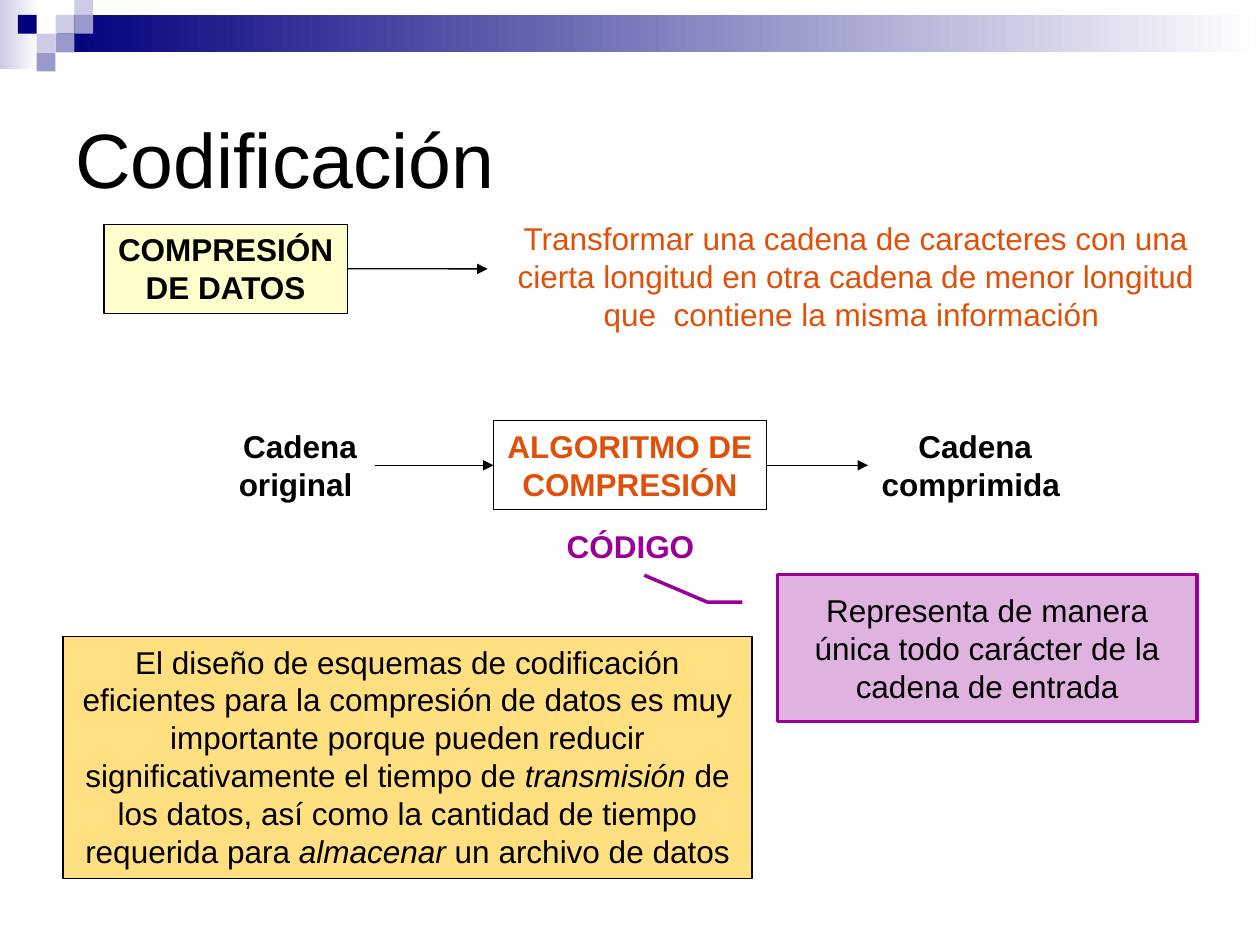
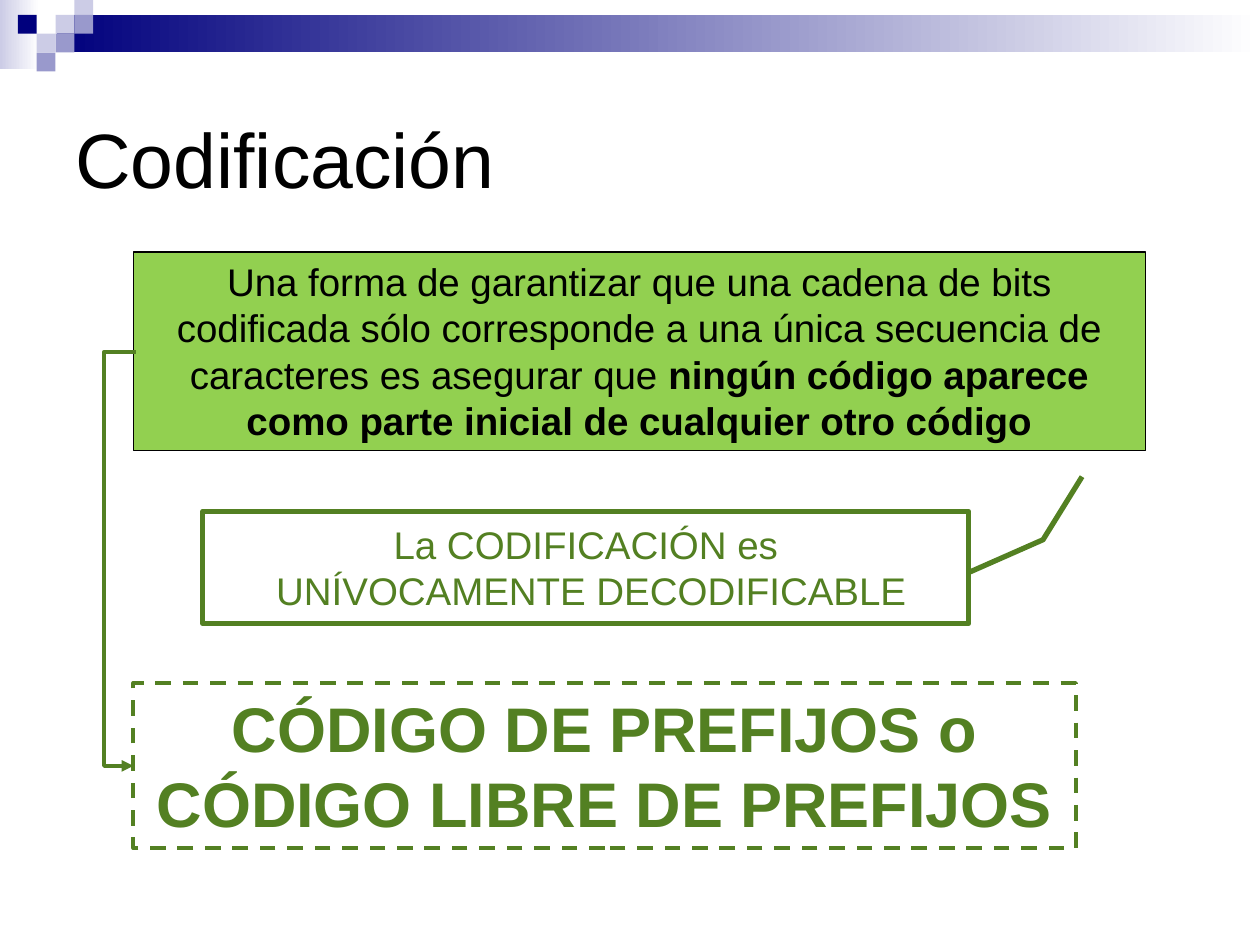
from pptx import Presentation
from pptx.dml.color import RGBColor
from pptx.enum.dml import MSO_LINE
from pptx.enum.shapes import MSO_CONNECTOR, MSO_SHAPE
from pptx.enum.text import MSO_ANCHOR, PP_ALIGN
from pptx.oxml.ns import qn
from pptx.util import Cm, Pt
from lxml.etree import SubElement

BLACK = RGBColor(0x00, 0x00, 0x00)
WHITE = RGBColor(0xFF, 0xFF, 0xFF)
NAVY = RGBColor(0x00, 0x00, 0x7D)
PERIWINKLE = RGBColor(0x99, 0x99, 0xCC)
LAVENDER = RGBColor(0xCC, 0xCC, 0xE6)
CREAM = RGBColor(0xFF, 0xFF, 0xCC)
ORANGE = RGBColor(0xE0, 0x50, 0x08)
AMBER = RGBColor(0xFF, 0xC0, 0x00)
PURPLE = RGBColor(0x99, 0x00, 0x99)
LIME = RGBColor(0x92, 0xD0, 0x50)
GREEN = RGBColor(0x53, 0x80, 0x22)
FONT = "Arial"

# Content: a paragraph per line, emphasised words between asterisks
TITLE = "Codificación"
COMPRESSION = "COMPRESIÓN\nDE DATOS"
DEFINITION = ("Transformar una cadena de caracteres con una cierta longitud en otra "
              "cadena de menor longitud que  contiene la misma información ")
SOURCE_STRING = "Cadena\noriginal "
ALGORITHM = "ALGORITMO DE\nCOMPRESIÓN"
COMPRESSED_STRING = "Cadena\ncomprimida "
CODE = "CÓDIGO"
CODE_ROLE = "Representa de manera única todo carácter de la cadena de entrada"
IMPORTANCE = ("El diseño de esquemas de codificación eficientes para la compresión de "
              "datos es muy importante porque pueden reducir significativamente el "
              "tiempo de *transmisión* de los datos, así como la cantidad de tiempo "
              "requerida para *almacenar* un archivo de datos")
GUARANTEE = ("Una forma de garantizar que una cadena de bits codificada sólo corresponde "
             "a una única secuencia de caracteres es asegurar que *ningún código aparece "
             "como parte inicial de cualquier otro código*")
DECODABLE = "La CODIFICACIÓN es\n UNÍVOCAMENTE DECODIFICABLE"
PREFIX_CODE = "CÓDIGO DE PREFIJOS o CÓDIGO LIBRE DE PREFIJOS"

# Corner mosaic: column, row, colour
MOSAIC = [(2, 1, LAVENDER), (3, 0, LAVENDER), (3, 1, PERIWINKLE), (1, 2, LAVENDER),
          (0, 1, NAVY), (2, 2, PERIWINKLE), (1, 3, PERIWINKLE)]
TILE, MOSAIC_LEFT, MOSAIC_TOP = 0.38, 0.36, -0.08

# Callout leaders: y, x pairs relative to the box
ROLE_LEADER = (0.188, -0.083, 0.188, -0.167, 0.006, -0.317)
DECODABLE_LEADER = (0.539, 1.002, 0.253, 1.097, -0.31, 1.148)


def add_box(slide, place, kind=MSO_SHAPE.RECTANGLE, fill=None, alpha=None, fade=False,
            line=None, weight=0.75, dash=None, leader=()):
    box = slide.shapes.add_shape(kind, *map(Cm, place))
    box.shadow.inherit = False
    if fade:
        box.fill.gradient()
        box.fill.gradient_angle = 0
        for stop, color in zip(box.fill.gradient_stops, (fill, WHITE)):
            stop.color.rgb = color
    elif fill is not None:
        box.fill.solid()
        box.fill.fore_color.rgb = fill
    else:
        box.fill.background()
    if alpha:
        color = box.element.spPr.find(qn("a:solidFill")).find(qn("a:srgbClr"))
        SubElement(color, qn("a:alpha"), val=str(alpha * 1000))
    if line is not None:
        box.line.color.rgb = line
        box.line.width = Pt(weight)
        if dash:
            box.line.dash_style = dash
    else:
        box.line.fill.background()
    for index, value in enumerate(leader):
        box.adjustments[index] = value
    return box


def write(slide, text, place, size=18, color=BLACK, bold=False, emphasis="italic",
          align=PP_ALIGN.CENTER, anchor=MSO_ANCHOR.TOP, wrap=True, **look):
    """Place text in a plain text box, or in a shape when a look is given."""
    holder = add_box(slide, place, **look) if look else slide.shapes.add_textbox(*map(Cm, place))
    frame = holder.text_frame
    frame.word_wrap = wrap
    frame.vertical_anchor = anchor
    for number, content in enumerate(text.split("\n")):
        paragraph = frame.add_paragraph() if number else frame.paragraphs[0]
        paragraph.alignment = align
        for index, words in enumerate(content.split("*")):
            run = paragraph.add_run()
            run.text = words
            run.font.name = FONT
            run.font.size = Pt(size)
            run.font.color.rgb = color
            run.font.bold = bold
            if index % 2:
                setattr(run.font, emphasis, True)
    return holder


def add_arrow(slide, start, end, kind=MSO_CONNECTOR.STRAIGHT, color=BLACK, weight=0.75):
    arrow = slide.shapes.add_connector(kind, *map(Cm, start + end))
    arrow.line.color.rgb = color
    arrow.line.width = Pt(weight)
    SubElement(arrow.line._get_or_add_ln(), qn("a:tailEnd"), type="triangle")
    SubElement(arrow.element.spPr, qn("a:effectLst"))
    return arrow


def join(slide, left_box, right_box):
    arrow = add_arrow(slide, (0, 0), (1, 0))
    arrow.begin_connect(left_box, 3)
    arrow.end_connect(right_box, 1)


def new_slide(deck):
    slide = deck.slides.add_slide(deck.slide_layouts[6])
    # Fading bands and corner mosaic
    add_box(slide, (0, -0.08, 0.79, 1.48), fill=LAVENDER, fade=True)
    add_box(slide, (1.14, 0.3, 24.26, 0.76), fill=NAVY, fade=True)
    for column, row, color in MOSAIC:
        add_box(slide, (MOSAIC_LEFT + column * TILE, MOSAIC_TOP + row * TILE, TILE, TILE),
                fill=color)
    write(slide, TITLE, (1.27, 1.27, 22.86, 3.81), size=44, align=PP_ALIGN.LEFT,
          anchor=MSO_ANCHOR.MIDDLE)
    return slide


def build_compression(deck):
    slide = new_slide(deck)
    # Term and definition
    term = write(slide, COMPRESSION, (2.1, 4.52, 4.9, 1.8), bold=True, wrap=False,
                 fill=CREAM, line=BLACK)
    write(slide, DEFINITION, (9.63, 4.29, 15.24, 2.57), color=ORANGE)
    add_arrow(slide, (7, 5.42), (9.83, 5.42)).begin_connect(term, 3)

    # Flow from source string to compressed string
    row_top, row_height = 8.48, 1.8
    source, algorithm, compressed = [
        write(slide, text, (left, row_top, width, row_height), bold=True, wrap=False, **look)
        for text, left, width, look in [
            (SOURCE_STRING, 4.55, 3, {}),
            (ALGORITHM, 9.95, 5.5, {"color": ORANGE, "line": BLACK}),
            (COMPRESSED_STRING, 17.5, 4.32, {})]]
    join(slide, source, algorithm)
    join(slide, algorithm, compressed)

    # Code, its role and why it matters
    write(slide, CODE, (11.15, 10.49, 3.12, 1.02), color=PURPLE, bold=True, wrap=False)
    write(slide, IMPORTANCE, (1.27, 12.83, 13.89, 4.88), fill=AMBER, alpha=50, line=BLACK)
    write(slide, CODE_ROLE, (15.67, 11.58, 8.46, 2.97), anchor=MSO_ANCHOR.MIDDLE,
          kind=MSO_SHAPE.LINE_CALLOUT_2, leader=ROLE_LEADER, fill=PURPLE, alpha=30,
          line=PURPLE, weight=2)


def build_prefix_code(deck):
    slide = new_slide(deck)
    left = 2.69
    write(slide, GUARANTEE, (left, 5.08, 20.4, 4.01), size=22, emphasis="bold",
          fill=LIME, line=BLACK)
    write(slide, DECODABLE, (4.09, 10.31, 15.44, 2.26), size=22, color=GREEN,
          anchor=MSO_ANCHOR.MIDDLE, kind=MSO_SHAPE.LINE_CALLOUT_2,
          leader=DECODABLE_LEADER, fill=WHITE, line=GREEN, weight=3)
    write(slide, PREFIX_CODE, (left, 13.77, 19, 3.33), size=36, color=GREEN, bold=True,
          line=GREEN, weight=2.25, dash=MSO_LINE.DASH)

    # Elbow arrow that runs outside the left edges
    inset, detour = 0.05, 0.64
    elbow = add_arrow(slide, (left + inset, 7.09), (left, 15.44), kind=MSO_CONNECTOR.ELBOW,
                      color=GREEN, weight=2.25)
    bend = elbow.element.spPr.find(qn("a:prstGeom")).get_or_add_avLst()
    SubElement(bend, qn("a:gd"), name="adj1", fmla=f"val {round(detour / inset * 100000)}")


def main():
    deck = Presentation()
    deck.slide_width, deck.slide_height = Cm(25.4), Cm(19.05)
    build_compression(deck)
    build_prefix_code(deck)
    deck.save("out.pptx")


if __name__ == "__main__":
    main()
